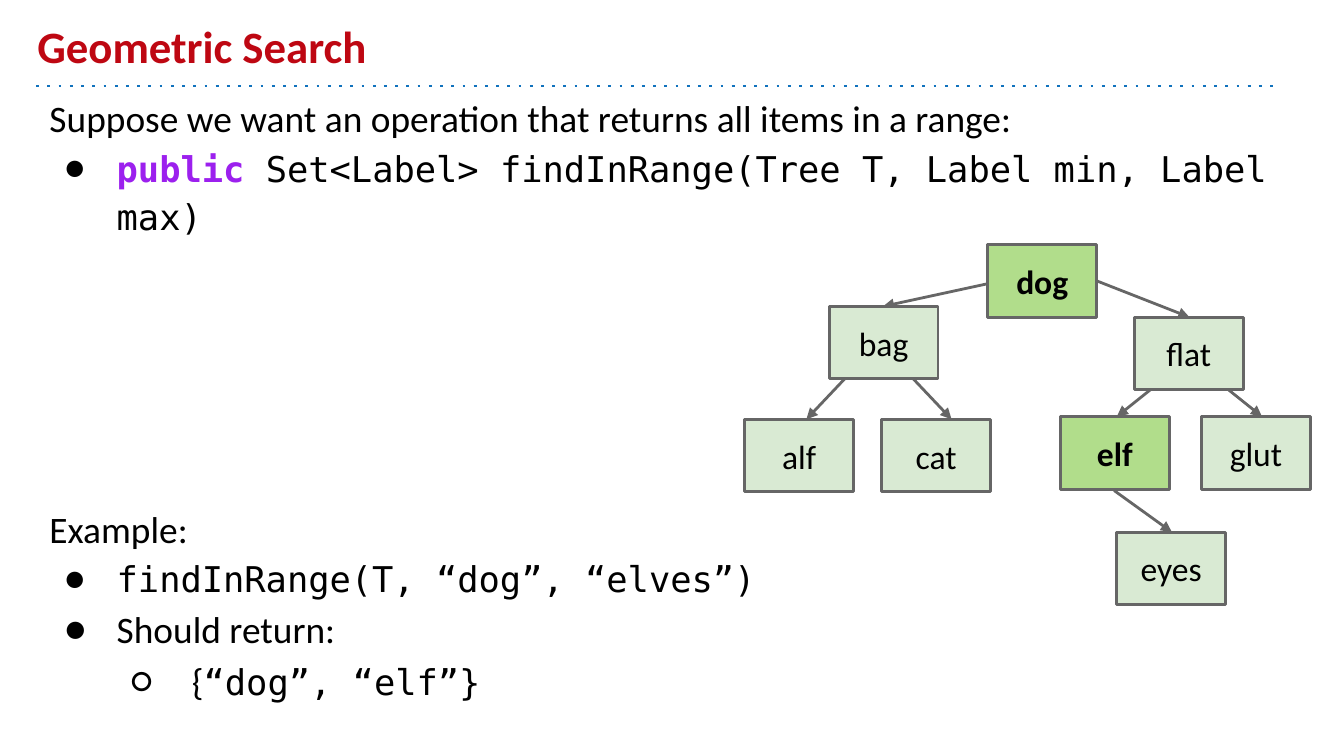
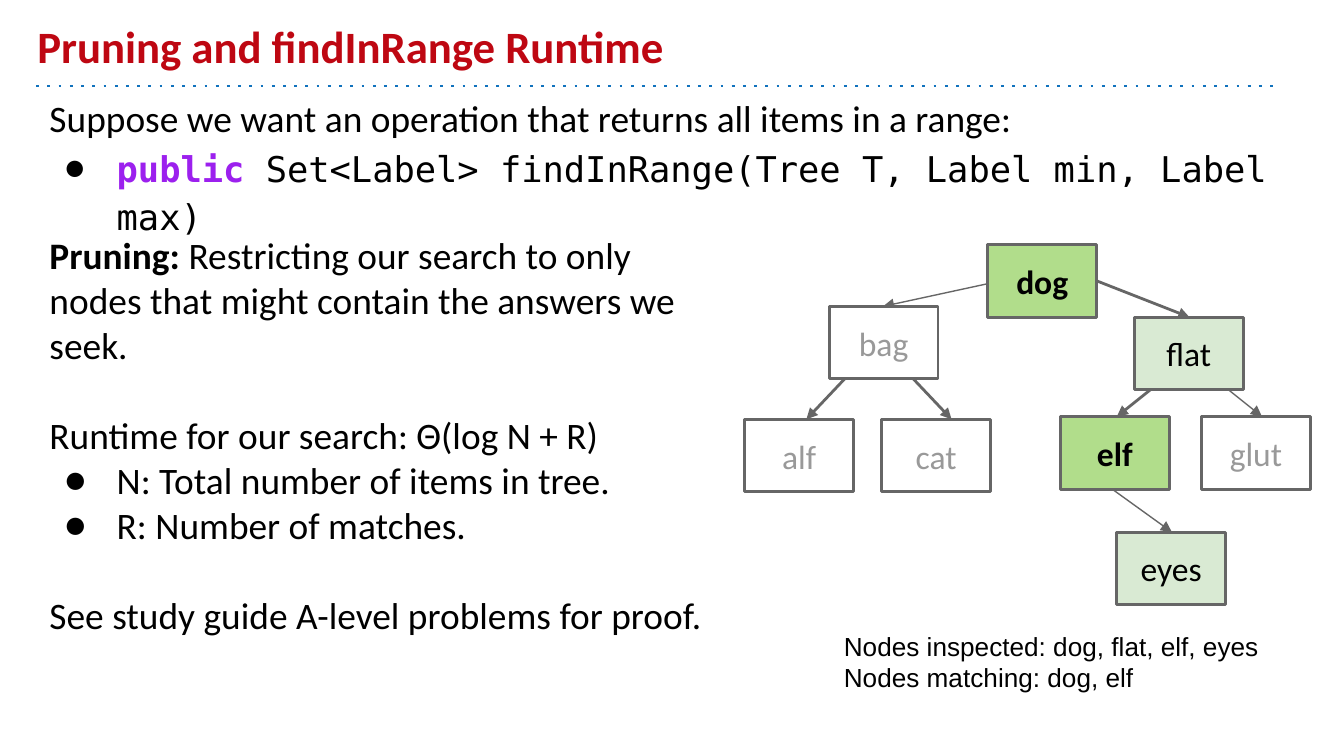
from lxml import etree
from pptx import Presentation
from pptx.dml.color import RGBColor
from pptx.enum.shapes import MSO_CONNECTOR, MSO_SHAPE
from pptx.enum.text import MSO_ANCHOR, PP_ALIGN
from pptx.oxml.ns import qn
from pptx.util import Inches, Pt

LINE = MSO_CONNECTOR.STRAIGHT
RECT = MSO_SHAPE.RECTANGLE
TOP, MIDDLE, BOTTOM = MSO_ANCHOR.TOP, MSO_ANCHOR.MIDDLE, MSO_ANCHOR.BOTTOM
CENTER = PP_ALIGN.CENTER

RED = RGBColor(0xBE, 0x07, 0x12)
BLUE = RGBColor(0x10, 0x72, 0xBD)
PURPLE = RGBColor(0x9C, 0x20, 0xEE)
BLACK = RGBColor(0x00, 0x00, 0x00)
WHITE = RGBColor(0xFF, 0xFF, 0xFF)
GREY = RGBColor(0x66, 0x66, 0x66)
FAINT = RGBColor(0x99, 0x99, 0x99)
GREEN = RGBColor(0xB1, 0xDD, 0x8B)
PALE = RGBColor(0xD9, 0xEA, 0xD3)

SANS, MONO = "Calibri", "DejaVu Sans Mono"
COL = ROW = Inches(0.1)

STYLES = {
    "title": (SANS, 24, RED, True),
    "body": (SANS, 20, BLACK, False),
    "bold": (SANS, 20, BLACK, True),
    "code": (MONO, 19, BLACK, False),
    "key": (MONO, 19, PURPLE, True),
    "note": ("Arial", 14, BLACK, False),
    "node": (SANS, 18, BLACK, False),
    "hit": (SANS, 18, BLACK, True),
    "cut": (SANS, 18, FAINT, False),
}
FILLS = {"node": PALE, "hit": GREEN, "cut": WHITE}
MARKS = {1: ("●", 5, 3.9), 2: ("○", 10.6, 4.5)}


def write(shape, paras, anchor=TOP, align=None):
    frame = shape.text_frame
    frame.word_wrap = True
    frame.vertical_anchor = anchor
    frame.margin_left = frame.margin_right = COL
    frame.margin_top = frame.margin_bottom = ROW
    frame.text = "\n".join(runs[0][0] for _, _, _, runs in paras)
    for para, (level, gap, space, runs) in zip(frame.paragraphs, paras):
        para.alignment = align
        if level:
            mark, left, hang = MARKS[level]
            props = para._p.get_or_add_pPr()
            props.set("marL", str(int(left * COL)))
            props.set("indent", str(-int(hang * COL)))
            tint = etree.SubElement(props, qn("a:buClr"))
            etree.SubElement(tint, qn("a:srgbClr"), val=str(BLACK))
            etree.SubElement(props, qn("a:buFont"), typeface=SANS)
            etree.SubElement(props, qn("a:buChar"), char=mark)
        para.line_spacing = space
        para.space_before = Pt(gap)
        for text, _ in runs[1:]:
            para.add_run().text = text
        for run, (_, style) in zip(para.runs, runs):
            font = run.font
            font.name, size, font.color.rgb, font.bold = STYLES[style]
            font.size = Pt(size)


def link(slide, ends, color, width, tag, **attrs):
    x1, y1, x2, y2 = ends
    wire = slide.shapes.add_connector(
        LINE, int(x1 * COL), int(y1 * ROW), int(x2 * COL), int(y2 * ROW))
    wire.line.color.rgb = color
    wire.line.width = Pt(width)
    etree.SubElement(wire.line._get_or_add_ln(), qn(tag), **attrs)
    etree.SubElement(wire._element.spPr, qn("a:effectLst"))


INTRO = [
    (0, 0, 1, [("Suppose we want an operation that returns all items in a range:", "body")]),
    (1, 0, 1.15, [("public", "key"),
                  (" Set<Label> findInRange(Tree T, Label min, Label max)", "code")]),
]
SAMPLE = [
    (0, 140, 1.15, [("Example:", "body")]),
    (1, 0, 1.15, [("findInRange(T, “dog”, “elves”)", "code")]),
    (1, 0, 1.15, [("Should return:", "body")]),
    (2, 0, 1.15, [("{", "body"), ("“dog”, “elf”}", "code")]),
]
PRUNE = [
    (0, 0, 1, [("Pruning: ", "bold"),
               ("Restricting our search to only nodes that might contain the answers we seek.", "body")]),
    (0, 24.4, 1, [("Runtime for our search: Θ(log N + R)", "body")]),
    (1, 0, 1, [("N: Total number of items in tree.", "body")]),
    (1, 0, 1, [("R: Number of matches.", "body")]),
    (0, 24.4, 1, [("See study guide A-level problems for proof.", "body")]),
]
NOTE = [
    (0, 0, 1, [("Nodes inspected: dog, flat, elf, eyes", "note")]),
    (0, 0, 1, [("Nodes matching: dog, elf", "note")]),
]

NODES = {
    "dog": (73.5, 18.2), "bag": (61.7, 22.8), "flat": (84.4, 23.6),
    "alf": (55.4, 31.2), "cat": (65.6, 31.2), "elf": (78.9, 31),
    "glut": (89.4, 31), "eyes": (83.1, 39.6),
}
WIDE, HIGH = 8.1, 5.4
EDGES = {
    ("bag", "alf"): (63.5, 27.5, 60, 31.2),
    ("bag", "cat"): (67.3, 27.5, 70.8, 31.2),
    ("flat", "elf"): (86.6, 28.2, 83.1, 31),
    ("flat", "glut"): (90.4, 28.2, 93.9, 31),
    ("dog", "bag"): (75.4, 20.7, 65.7, 22.8),
    ("dog", "flat"): (81.6, 20.9, 88.5, 23.6),
    ("elf", "eyes"): (82.9, 36.5, 87.2, 39.6),
}
HITS = {"dog", "elf"}

PAGES = [
    ("Geometric Search", [((2.7, 6.1, 95.3, 46.8), INTRO + SAMPLE)], set(), set()),
    ("Pruning and findInRange Runtime",
     [((2.7, 6.1, 95.3, 9.8), INTRO),
      ((61.8, 45.9, 38.2, 6.9), NOTE),
      ((2.7, 16.3, 51, 35.5), PRUNE)],
     {"bag", "alf", "cat", "glut"},
     {("dog", "bag"), ("flat", "glut"), ("elf", "eyes")}),
]

deck = Presentation()
deck.slide_width = 100 * COL
deck.slide_height = int(56.25 * ROW)

for title, texts, cuts, thin in PAGES:
    slide = deck.slides.add_slide(deck.slide_layouts[6])
    link(slide, (2.7, 6.4, 95, 6.4), BLUE, 1.5, "a:prstDash", val="dot")
    head = slide.shapes.add_textbox(int(1.8 * COL), ROW, 90 * COL, int(5.4 * ROW))
    write(head, [(0, 0, 1, [(title, "title")])], BOTTOM)

    for (x, y, w, h), paras in texts:
        box = slide.shapes.add_textbox(
            int(x * COL), int(y * ROW), int(w * COL), int(h * ROW))
        write(box, paras)

    for pair, ends in EDGES.items():
        link(slide, ends, GREY, 0.75 if pair in thin else 1.5,
             "a:tailEnd", type="triangle")

    for name, (x, y) in NODES.items():
        kind = "hit" if name in HITS else "cut" if name in cuts else "node"
        node = slide.shapes.add_shape(
            RECT, int(x * COL), int(y * ROW), int(WIDE * COL), int(HIGH * ROW))
        node.shadow.inherit = False
        node.fill.solid()
        node.fill.fore_color.rgb = FILLS[kind]
        node.line.color.rgb = GREY
        node.line.width = Pt(1.5)
        write(node, [(0, 0, 1, [(name, kind)])], MIDDLE, CENTER)

deck.save("out.pptx")
